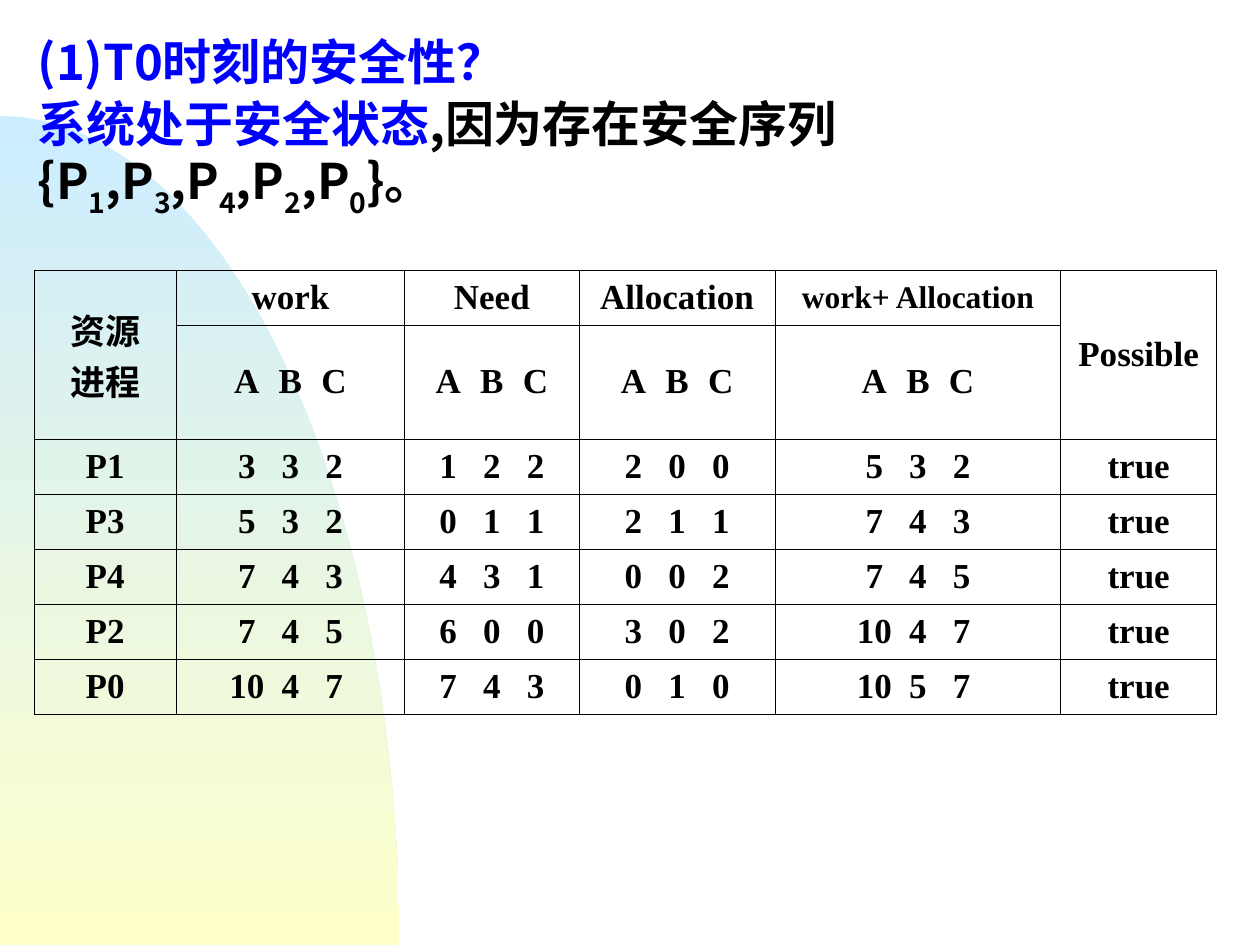
import math

from lxml import etree
from pptx import Presentation
from pptx import util as u
from pptx.dml.color import RGBColor
from pptx.enum import text
from pptx.oxml import ns

COLORS = {"blue": "0000FF", "black": "000000", "cell": "010000",
          "sky": "CCECFF", "cream": "FFFFCC"}
SANS, SERIF = "Noto Sans CJK SC", "Times New Roman"


def add_text(p, content, size=20, color="cell", font=SERIF, baseline=0):
    r = p.add_run()
    r.text = content
    r.font.size, r.font.bold, r.font.name = u.Pt(size), True, font
    r.font.color.rgb = RGBColor.from_string(COLORS[color])
    rPr = r.font._element
    etree.SubElement(rPr, ns.qn("a:ea"), typeface=SANS)
    if baseline:
        rPr.set("baseline", str(baseline * 1000))


class SlideBuilder:
    """Draws styled elements on the current slide."""

    def __init__(self, slide):
        self.s = slide
        self.border = u.Pt(0.45)
        self.tab_gap = u.Cm(0.88)

    def quarter_ellipse(self, left, bottom, rx, ry, steps=90):
        angles = [math.pi / 2 * i / steps for i in range(steps + 1)]
        points = [(u.Cm(left + rx * math.sin(a)), u.Cm(bottom - ry * math.cos(a)))
                  for a in angles]
        fb = self.s.shapes.build_freeform(*points[0])
        fb.add_line_segments(points[1:] + [(u.Cm(left), u.Cm(bottom))], close=True)
        sp = fb.convert_to_shape()
        sp.shadow.inherit = False
        sp.line.fill.background()
        sp.fill.gradient()
        sp.fill.gradient_angle = 270
        for stop, name, pos in zip(sp.fill.gradient_stops, ("sky", "cream"), (0, 1)):
            stop.color.rgb = RGBColor.from_string(COLORS[name])
            stop.position = pos

    def text_box(self, left, top, width, height, paragraphs):
        sp = self.s.shapes.add_textbox(*map(u.Cm, (left, top, width, height)))
        tf = sp.text_frame
        tf.word_wrap = True
        for i, runs in enumerate(paragraphs):
            p = tf.add_paragraph() if i else tf.paragraphs[0]
            p.space_before, p.line_spacing = u.Pt(7), 0.84
            for content, fmt in runs:
                add_text(p, content, size=28, font=SANS, **fmt)

    def table(self, left, top, widths, heights, rows, merges):
        size = (left, top, sum(widths), sum(heights))
        tbl = self.s.shapes.add_table(len(rows), len(widths), *map(u.Cm, size)).table
        tbl.first_row = tbl.horz_banding = False
        for col, width in zip(tbl.columns, widths):
            col.width = u.Cm(width)
        for row, height in zip(tbl.rows, heights):
            row.height = u.Cm(height)
        for first, last in merges:
            tbl.cell(*first).merge(tbl.cell(*last))
        for i, row in enumerate(rows):
            for j, content in enumerate(row):
                self.cell(tbl.cell(i, j), content, u.Cm(widths[j]))

    def cell(self, cell, content, width):
        cell.vertical_anchor = text.MSO_ANCHOR.MIDDLE
        tcPr = cell._tc.get_or_add_tcPr()
        for side in ("lnL", "lnR", "lnT", "lnB"):
            ln = etree.SubElement(tcPr, ns.qn(f"a:{side}"), w=str(self.border))
            fill = etree.SubElement(ln, ns.qn("a:solidFill"))
            etree.SubElement(fill, ns.qn("a:srgbClr"), val=COLORS["black"])
        cell.fill.background()
        tf = cell.text_frame
        if isinstance(content, tuple):
            self.triple(tf.paragraphs[0], content, width // 2 - cell.margin_left)
            return
        for i, line in enumerate(content.split("\n") if content else []):
            p = tf.add_paragraph() if i else tf.paragraphs[0]
            p.alignment = text.PP_ALIGN.CENTER
            add_text(p, line, size=18 if "+" in line else 20)

    def triple(self, p, values, middle):
        p.alignment = text.PP_ALIGN.LEFT
        tabs = etree.SubElement(p._p.get_or_add_pPr(), ns.qn("a:tabLst"))
        for k in (-1, 0, 1):
            etree.SubElement(tabs, ns.qn("a:tab"), algn="ctr",
                             pos=str(middle + k * self.tab_gap))
        add_text(p, "".join(f"\t{v}" for v in values))


def main():
    prs = Presentation()
    prs.slide_width, prs.slide_height = u.Cm(25.4), u.Cm(19.05)
    b = SlideBuilder(prs.slides.add_slide(prs.slide_layouts[6]))
    b.quarter_ellipse(0, 19.05, 8.05, 16.71)

    blue, black = {"color": "blue"}, {"color": "black"}
    sequence = [(",因为存在安全序列{", black)]
    for i, number in enumerate("13420"):
        sequence += [(",P" if i else "P", black),
                     (number, {"color": "black", "baseline": -30})]
    b.text_box(0.51, 0.71, 24.41, 4.6, [
        [("(1)T0时刻的安全性？", blue)],
        [("系统处于安全状态", blue), *sequence, ("}。", black)],
    ])

    states = [
        ("P1", "3 3 2", "1 2 2", "2 0 0", "5 3 2"),
        ("P3", "5 3 2", "0 1 1", "2 1 1", "7 4 3"),
        ("P4", "7 4 3", "4 3 1", "0 0 2", "7 4 5"),
        ("P2", "7 4 5", "6 0 0", "3 0 2", "10 4 7"),
        ("P0", "10 4 7", "7 4 3", "0 1 0", "10 5 7"),
    ]
    rows = [
        ["资源\n进程", "work", "Need", "Allocation", "work+ Allocation", "Possible"],
        ["", *[("A", "B", "C")] * 4, ""],
        *[[name, *(tuple(v.split()) for v in values), "true"]
          for name, *values in states],
    ]
    b.table(0.69, 5.44, [2.86, 4.61, 3.51, 3.96, 5.75, 3.15],
            [1.11, 2.3] + [1.11] * 5, rows,
            [((0, 0), (1, 0)), ((0, 5), (1, 5))])
    prs.save("out.pptx")


if __name__ == "__main__":
    main()
